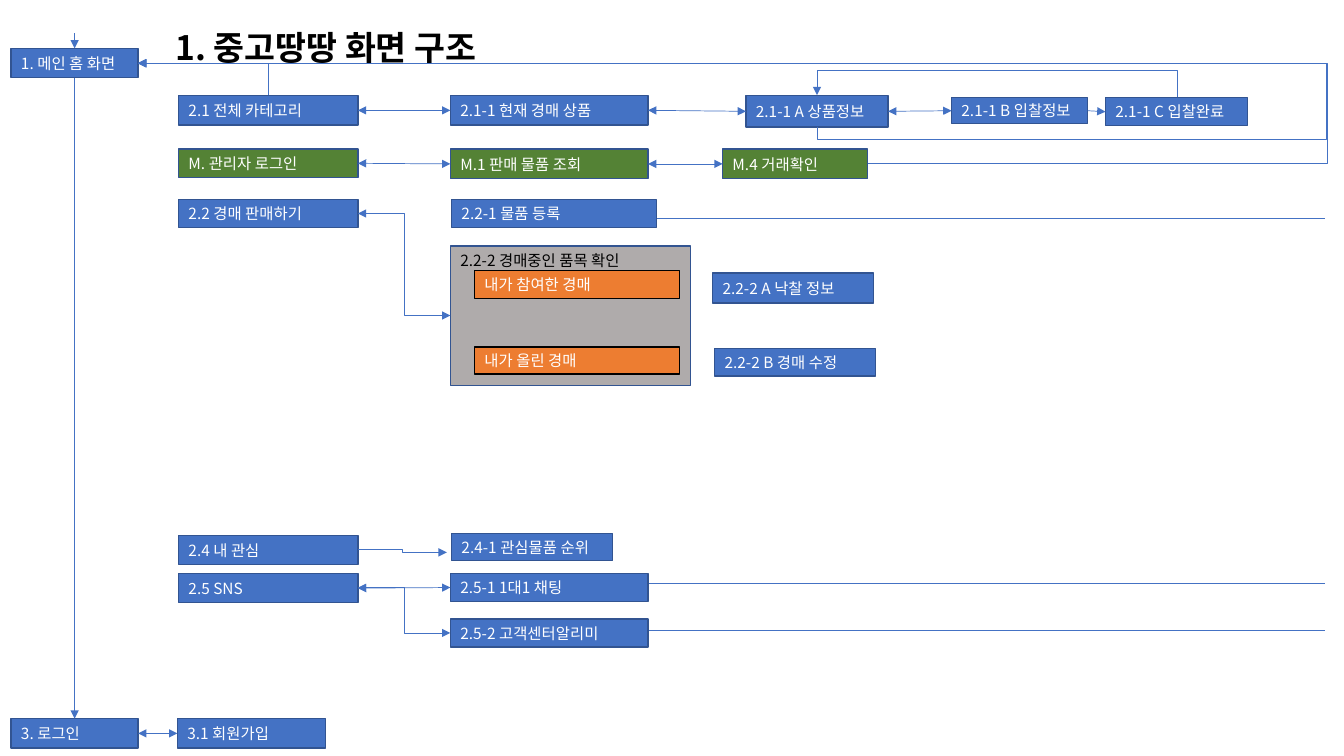
from dataclasses import dataclass

from lxml import etree
from pptx import Presentation
from pptx import util as u
from pptx.dml.color import RGBColor
from pptx.enum import shapes, text
from pptx.oxml.ns import qn

FONT = "Noto Sans CJK KR"
BLUE, NAVY, GREEN, ORANGE = "4472C4", "325491", "548235", "ED7D31"
GREY, BLACK, WHITE = "AFABAB", "000000", "FFFFFF"
TOP, LEFT, BOTTOM, RIGHT = range(4)

# Columns and widths shared by the screens, in cm
COL1, COL2, MENU_W, LIST_W = 4.5, 11.35, 4.52, 4.98
HOME_X, HOME_W, RAIL_END = 0.28, 3.2, 33.4


@dataclass
class Screen:
    label: str
    left: float
    top: float
    width: float
    height: float = 0.71
    fill: str = BLUE
    edge: str = NAVY
    ink: str = WHITE
    anchor: text.MSO_ANCHOR = text.MSO_ANCHOR.MIDDLE


@dataclass
class Link:
    source: str
    source_side: int
    target: str
    target_side: int
    both_ways: bool = True


@dataclass
class Elbow:
    left: float
    top: float
    width: float
    height: float
    bends: int = 3
    rotation: int = 0
    flips: str = ""
    adjust: tuple[float, ...] = ()
    both_ways: bool = False


SCREENS = {
    "home": Screen("1. 메인 홈 화면", HOME_X, 1.22, HOME_W, 0.74),
    "categories": Screen("2.1 전체 카테고리", COL1, 2.41, MENU_W, 0.74),
    "auctions": Screen("2.1-1 현재 경매 상품", COL2, 2.41, LIST_W, 0.74),
    "item": Screen("2.1-1 A 상품정보", 18.8, 2.41, 3.58, 0.79),
    "bid": Screen("2.1-1 B 입찰정보", 23.98, 2.46, 3.43, 0.66),
    "bid_done": Screen("2.1-1 C 입찰완료", 27.86, 2.46, 3.58),
    "admin": Screen("M. 관리자 로그인", COL1, 3.76, MENU_W, fill=GREEN),
    "sales": Screen("M.1 판매 물품 조회", COL2, 3.76, LIST_W, 0.74, GREEN),
    "deals": Screen("M.4 거래확인", 18.21, 3.76, 3.66, 0.74, GREEN),
    "sell": Screen("2.2 경매 판매하기", COL1, 5.03, MENU_W),
    "register": Screen("2.2-1 물품 등록", 11.38, 5.03, 5.16),
    "ongoing": Screen("2.2-2 경매중인 품목 확인", COL2, 6.2, 6.05, 3.51,
                      GREY, ink=BLACK, anchor=text.MSO_ANCHOR.TOP),
    "joined": Screen("내가 참여한 경매", 11.96, 6.81, 5.16, 0.71, ORANGE, BLACK),
    "posted": Screen("내가 올린 경매", 11.96, 8.74, 5.16, 0.69, ORANGE, BLACK),
    "won": Screen("2.2-2 A 낙찰 정보", 17.96, 6.88, 4.06, 0.76),
    "edit": Screen("2.2-2 B 경매 수정", 18.01, 8.79, 4.06, 0.69),
    "interests": Screen("2.4 내 관심", COL1, 13.49, MENU_W, 0.74),
    "ranking": Screen("2.4-1 관심물품 순위", 11.38, 13.44, 4.06, 0.69),
    "sns": Screen("2.5 SNS", COL1, 14.45, MENU_W, 0.74),
    "chat": Screen("2.5-1 1대1 채팅", COL2, 14.45, LIST_W),
    "support": Screen("2.5-2 고객센터알리미", COL2, 15.6, LIST_W),
    "login": Screen("3. 로그인", HOME_X, 18.11, HOME_W, 0.74),
    "sign_up": Screen("3.1 회원가입", 4.47, 18.11, 3.73, 0.74),
}

LINKS = [
    Link("home", BOTTOM, "login", TOP, both_ways=False),
    Link("categories", RIGHT, "auctions", LEFT),
    Link("auctions", RIGHT, "item", LEFT),
    Link("item", RIGHT, "bid", LEFT),
    Link("bid", RIGHT, "bid_done", LEFT, both_ways=False),
    Link("admin", RIGHT, "sales", LEFT),
    Link("sales", RIGHT, "deals", LEFT),
    Link("sns", RIGHT, "chat", LEFT),
    Link("login", RIGHT, "sign_up", LEFT),
]

ELBOWS = [
    Elbow(11.23, -6.17, 1.6, 17.12, 4, 90, "H", (-0.2, -0.75)),  # item to home
    Elbow(4.72, 0.36, 0.81, 3.28, 2, 270, "V"),  # categories to home
    Elbow(3.48, 1.6, 18.39, 2.51, 3, 0, "HV", (-0.63,)),  # deals to home
    Elbow(25.1, -2.11, 0.05, 9.07, 3, 270, "V", (13.4,)),  # bid done to item
    Elbow(9.02, 5.38, 2.33, 2.57, both_ways=True),  # sell to ongoing
    Elbow(9.02, 14.81, 2.33, 1.14, both_ways=True),  # sns to support
    Elbow(9.02, 13.84, 2.24, 0.08),  # interests to ranking
]

# Start and height of the plain lines to the right edge
RAILS = [(14.96, 5.51), (14.78, 14.71), (14.78, 15.88)]


def color(value: str) -> RGBColor:
    return RGBColor.from_string(value)


def format_run(run, size: float, ink: str, bold: bool = False) -> None:
    run.font.size, run.font.bold, run.font.name = u.Pt(size), bold, FONT
    run.font.color.rgb = color(ink)
    east_asian = etree.SubElement(run.font._element, qn("a:ea"))
    east_asian.set("typeface", FONT)


def draw_screen(slide, screen: Screen):
    box = slide.shapes.add_shape(
        shapes.MSO_SHAPE.RECTANGLE, u.Cm(screen.left), u.Cm(screen.top),
        u.Cm(screen.width), u.Cm(screen.height))
    box.shadow.inherit = False
    box.fill.solid()
    box.fill.fore_color.rgb = color(screen.fill)
    box.line.color.rgb = color(screen.edge)
    box.line.width = u.Pt(1)
    frame = box.text_frame
    frame.text = screen.label
    frame.word_wrap = True
    frame.vertical_anchor = screen.anchor
    frame.paragraphs[0].alignment = text.PP_ALIGN.LEFT
    format_run(frame.paragraphs[0].runs[0], 11, screen.ink)
    return box


def draw_line(slide, kind, x1: float, y1: float, x2: float, y2: float,
              ends: tuple[str, ...] = ("tailEnd",)):
    line = slide.shapes.add_connector(kind, u.Cm(x1), u.Cm(y1), u.Cm(x2), u.Cm(y2))
    line.line.color.rgb = color(BLUE)
    line.line.width = u.Pt(0.5)
    properties = line._element.spPr
    outline = properties.find(qn("a:ln"))
    for end in ends:
        etree.SubElement(outline, qn(f"a:{end}")).set("type", "triangle")
    etree.SubElement(properties, qn("a:effectLst"))
    return line


def arrow_ends(both_ways: bool) -> tuple[str, ...]:
    return ("headEnd", "tailEnd") if both_ways else ("tailEnd",)


def draw_elbow(slide, elbow: Elbow) -> None:
    line = draw_line(slide, shapes.MSO_CONNECTOR.ELBOW, elbow.left, elbow.top,
                     elbow.left + elbow.width, elbow.top + elbow.height,
                     arrow_ends(elbow.both_ways))
    properties = line._element.spPr
    frame = properties.find(qn("a:xfrm"))
    frame.set("rot", str(elbow.rotation * 60000))
    for axis in elbow.flips:
        frame.set(f"flip{axis}", "1")
    geometry = properties.find(qn("a:prstGeom"))
    geometry.set("prst", f"bentConnector{elbow.bends}")
    guides = geometry.find(qn("a:avLst"))
    for number, share in enumerate(elbow.adjust, 1):
        guide = etree.SubElement(guides, qn("a:gd"))
        guide.set("name", f"adj{number}")
        guide.set("fmla", f"val {round(share * 100000)}")


def draw_title(slide) -> None:
    title = slide.shapes.add_textbox(u.Cm(4.17), u.Cm(-0.25), u.Cm(9.73), u.Cm(1.85))
    frame = title.text_frame
    frame.text = "1. 중고땅땅 화면 구조"
    frame.word_wrap = True
    frame.auto_size = text.MSO_AUTO_SIZE.SHAPE_TO_FIT_TEXT
    frame.paragraphs[0].line_spacing = 1.8
    format_run(frame.paragraphs[0].runs[0], 24, BLACK, bold=True)


def main() -> None:
    deck = Presentation()
    deck.slide_width, deck.slide_height = u.Cm(33.87), u.Cm(19.05)
    slide = deck.slides.add_slide(deck.slide_layouts[6])
    straight = shapes.MSO_CONNECTOR.STRAIGHT

    # Lines to the right edge, behind the screens
    for start, height in RAILS:
        draw_line(slide, straight, start, height, RAIL_END, height, ends=())

    # Screens
    boxes = {name: draw_screen(slide, screen) for name, screen in SCREENS.items()}

    # Arrows between screens
    entry = draw_line(slide, straight, 1.88, 0.84, 1.88, 1.22)
    entry.end_connect(boxes["home"], TOP)
    for link in LINKS:
        arrow = draw_line(slide, straight, 0, 0, 1, 1, arrow_ends(link.both_ways))
        arrow.begin_connect(boxes[link.source], link.source_side)
        arrow.end_connect(boxes[link.target], link.target_side)
    for elbow in ELBOWS:
        draw_elbow(slide, elbow)

    draw_title(slide)
    deck.save("out.pptx")


if __name__ == "__main__":
    main()
